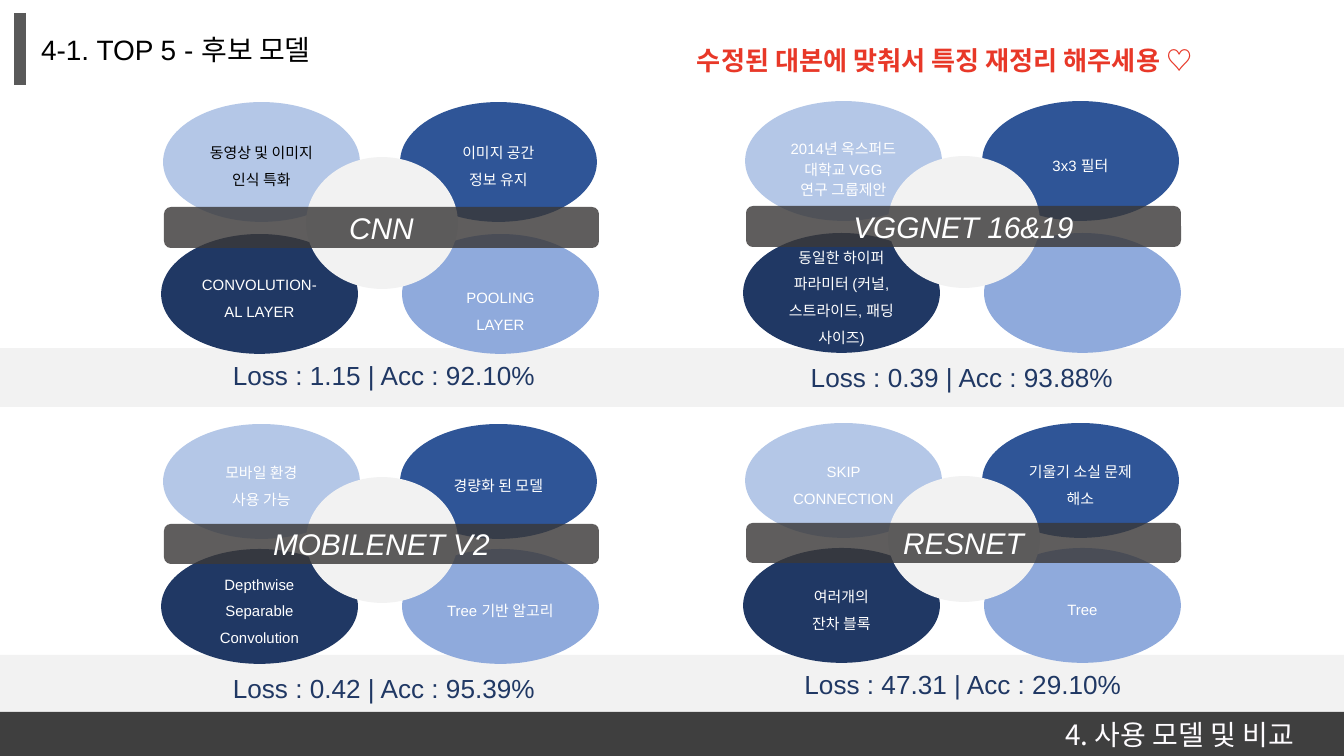
from lxml import etree
from pptx import Presentation
from pptx.dml.color import RGBColor
from pptx.enum import shapes, text
from pptx.oxml.ns import qn
from pptx.util import Pt

PX = 914400 / 134.4
FONT, CJK = "Arial", "Noto Sans CJK KR"
WHITE, BLACK, NAVY, PALE = "FFFFFF", "000000", "203864", "F2F2F2"
PETAL_FILLS = ["B4C7E7", "2F5597", NAVY, "8FAADC"]
LEFT, CENTER, RIGHT = text.PP_ALIGN.LEFT, text.PP_ALIGN.CENTER, text.PP_ALIGN.RIGHT
SHAPE = shapes.MSO_SHAPE

TITLE = "4-1. TOP 5 - 후보 모델"
REMARK = "수정된 대본에 맞춰서 특징 재정리 해주세용 ♡"
FOOTER = "4. 사용 모델 및 비교"
# name, column, row, four petal texts (clockwise rows), score, score box
MODELS = [
    ("CNN", 0, 0,
     ["동영상 및 이미지 인식 특화", "이미지 공간\n정보 유지",
      "CONVOLUTION-AL LAYER", "POOLING LAYER"],
     "Loss : 1.15 | Acc : 92.10%", (202, 346, 364, 59)),
    ("VGGNET 16&19", 1, 0,
     ["2014년 옥스퍼드 대학교 VGG\v연구 그룹제안", "3x3 필터",
      "동일한 하이퍼 파라미터 (커널, 스트라이드, 패딩 사이즈)", ""],
     "Loss : 0.39 | Acc : 93.88%", (767, 348, 390, 59)),
    ("MOBILENET V2", 0, 1,
     ["모바일 환경\n사용 가능", "경량화 된 모델",
      "Depthwise Separable Convolution", "Tree 기반 알고리"],
     "Loss : 0.42 | Acc : 95.39%", (202, 659, 364, 59)),
    ("RESNET", 1, 1,
     ["SKIP CONNECTION", "기울기 소실 문제 해소", "여러개의\n잔차 블록", "Tree"],
     "Loss : 47.31 | Acc : 29.10%", (726, 655, 474, 59)),
]
# Petal text that differs from the usual style: colour, line spacing, extra top inset
PETAL_STYLES = {
    ("CNN", 0): {"color": BLACK},
    ("CNN", 3): {"extra_top": 26},
    ("VGGNET 16&19", 0): {"spacing": 1.15, "extra_top": 14},
}
COLUMN_X = [164, 746]
# top, petal height, second petal row, hub (offset, height), bar (offset, height)
ROWS = [
    {"y": 103, "petal_h": 118, "step": 132, "hub": (55, 130), "bar": (104, 41)},
    {"y": 425, "petal_h": 113, "step": 125, "hub": (53, 124), "bar": (99, 40)},
]
PETAL_W, HUB_X, HUB_W, BAR_W = 195, 143, 150, 435
PETAL_X = [0, 237, -2, 239]


def px(n):
    return round(n * PX)


def rgb(value):
    return RGBColor.from_string(value)


def write(sp, content, size, color, align=CENTER, spacing=1.0, font=FONT,
          insets=(10, 5, 10, 5), anchor=text.MSO_ANCHOR.MIDDLE, bold=False, italic=False):
    tf = sp.text_frame
    tf.word_wrap = True
    tf.vertical_anchor = anchor
    tf.margin_left, tf.margin_top, tf.margin_right, tf.margin_bottom = map(px, insets)
    tf.text = content
    for p in tf.paragraphs:
        p.alignment = align
        p.line_spacing = spacing
        for r in p.runs:
            r.font.size, r.font.name = Pt(size), font
            r.font.bold, r.font.italic = bold, italic
            r.font.color.rgb = rgb(color)
            ea = etree.SubElement(r.font._element, qn("a:ea"))
            ea.set("typeface", CJK)


def block(slide, kind, box, fill, outlined=False, alpha=None):
    sp = slide.shapes.add_shape(kind, *map(px, box))
    sp.shadow.inherit = False
    sp.fill.solid()
    sp.fill.fore_color.rgb = rgb(fill)
    if outlined:
        sp.line.color.rgb = rgb(fill)
        sp.line.width = Pt(1)
    else:
        sp.line.fill.background()
    if alpha:
        color = sp._element.spPr.find(qn("a:solidFill"))[0]
        etree.SubElement(color, qn("a:alpha")).set("val", str(alpha * 1000))
    return sp


def label(slide, box, content, size, color, **style):
    sp = slide.shapes.add_textbox(*map(px, box))
    write(sp, content, size, color, insets=(13, 13, 13, 13), **style)


def add_model(slide, name, column, row, petals):
    """Four petals, a hub over them and a translucent name bar on top."""
    x, geo = COLUMN_X[column], ROWS[row]
    y = geo["y"] - column
    for i, (content, fill, dx) in enumerate(zip(petals, PETAL_FILLS, PETAL_X)):
        box = (x + dx, y + i // 2 * geo["step"], PETAL_W, geo["petal_h"])
        sp = block(slide, SHAPE.OVAL, box, fill, outlined=True)
        if content:
            style = PETAL_STYLES.get((name, i), {})
            write(sp, content, 8, style.get("color", WHITE),
                  spacing=style.get("spacing", 1.5),
                  insets=(10, 5 + style.get("extra_top", 0), 10, 5))
    hub_y, hub_h = geo["hub"]
    block(slide, SHAPE.OVAL, (x + HUB_X, y + hub_y, HUB_W, hub_h), PALE, outlined=True)
    bar_y, bar_h = geo["bar"]
    bar = block(slide, SHAPE.ROUNDED_RECTANGLE, (x, y + bar_y, BAR_W, bar_h),
                "3A3838", alpha=81)
    write(bar, name, 16, WHITE, italic=True)


def main():
    prs = Presentation()
    prs.slide_width, prs.slide_height = px(1344), px(756)
    slide = prs.slides.add_slide(prs.slide_layouts[5])

    title = slide.shapes.title
    title.left, title.top, title.width, title.height = map(px, (31, 20, 390, 62))
    write(title, TITLE, 15, BLACK, align=LEFT, spacing=0.9)

    for y in (348, 655):
        block(slide, SHAPE.RECTANGLE, (0, y, 1344, 59), PALE)
    for name, column, row, petals, _, _ in MODELS:
        add_model(slide, name, column, row, petals)

    footer = block(slide, SHAPE.RECTANGLE, (0, 712, 1344, 44), "3F3F3F")
    write(footer, FOOTER, 15, "FEFCFF", align=RIGHT, font=CJK, insets=(10, 5, 50, 5))

    accent = slide.shapes.add_connector(
        shapes.MSO_CONNECTOR.STRAIGHT, *map(px, (20, 13, 20, 85)))
    accent.line.color.rgb = rgb("595959")
    accent.line.width = Pt(6)
    etree.SubElement(accent._element.spPr, qn("a:effectLst"))

    for *_, score, box in MODELS:
        label(slide, box, score, 14, NAVY)
    label(slide, (684, 31, 632, 59), REMARK, 14, "E83828", align=LEFT,
          anchor=text.MSO_ANCHOR.TOP, bold=True)
    prs.save("out.pptx")


if __name__ == "__main__":
    main()
